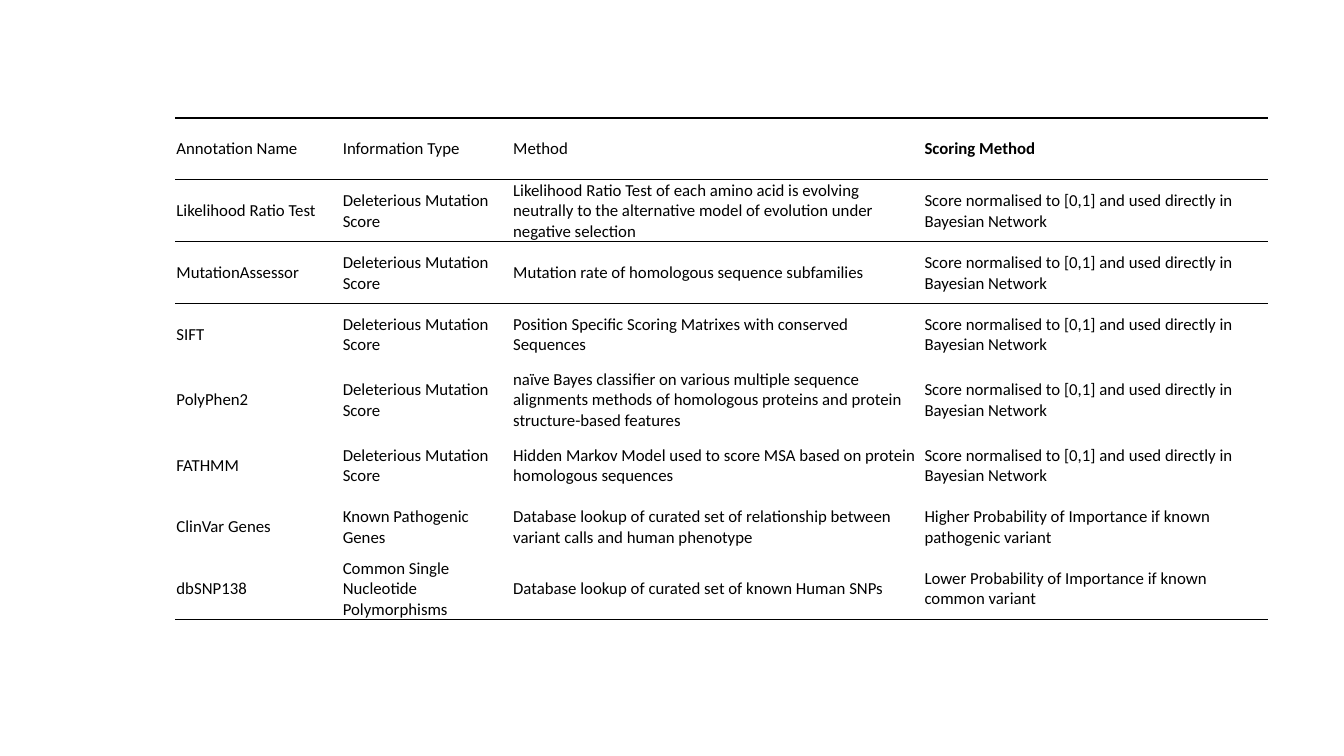
from dataclasses import astuple, dataclass

from lxml import etree
from pptx import Presentation
from pptx.dml.color import RGBColor
from pptx.enum.text import MSO_ANCHOR
from pptx.oxml.ns import qn
from pptx.slide import Slide
from pptx.table import _Cell
from pptx.util import Emu, Pt

MIDDLE = MSO_ANCHOR.MIDDLE
EMU_PER_PX = 9144
COLORS = {"ink": "000000"}
FONT_NAME = "Calibri"
FONT_SIZE = Pt(12)
RULE_WIDTH = Pt(1)
PLAIN_TABLE_STYLE = "{2D5ABB26-0587-4C30-8999-92F81FD0307C}"

TABLE_LEFT, TABLE_TOP = 174, 117
COLUMN_WIDTHS = (165, 169, 408, 342)
ROW_HEIGHT, TALL_ROW_HEIGHT = 61, 69
TALL_ROW = 4
CELL_MARGIN = 1
BOLD_CELL = (0, 3)

DELETERIOUS = "Deleterious Mutation Score"
NORMALISED = "Score normalised to [0,1] and used directly in Bayesian Network"


@dataclass(frozen=True)
class Annotation:
    name: str
    method: str
    information: str = DELETERIOUS
    scoring: str = NORMALISED


ANNOTATIONS = (
    Annotation("Annotation Name", "Method", "Information Type", "Scoring Method"),
    Annotation(
        "Likelihood Ratio Test",
        "Likelihood Ratio Test of each amino acid is evolving neutrally to the "
        "alternative model of evolution under negative selection",
    ),
    Annotation("MutationAssessor", "Mutation rate of homologous sequence subfamilies"),
    Annotation("SIFT", "Position Specific Scoring Matrixes with conserved Sequences"),
    Annotation(
        "PolyPhen2",
        "naïve Bayes classifier on various multiple sequence alignments methods of "
        "homologous proteins and protein structure-based features",
    ),
    Annotation(
        "FATHMM",
        "Hidden Markov Model used to score MSA based on protein homologous sequences",
    ),
    Annotation(
        "ClinVar Genes",
        "Database lookup of curated set of relationship between variant calls and "
        "human phenotype",
        "Known Pathogenic Genes",
        "Higher Probability of Importance if known pathogenic variant",
    ),
    Annotation(
        "dbSNP138",
        "Database lookup of curated set of known Human SNPs",
        "Common Single Nucleotide Polymorphisms",
        "Lower Probability of Importance if known common variant",
    ),
)
RULED_EDGES = (0, 1, 2, len(ANNOTATIONS))


def px(length: int) -> Emu:
    return Emu(length * EMU_PER_PX)


def add_rule(cell: _Cell, tag: str) -> None:
    properties = cell._tc.get_or_add_tcPr()
    line = etree.SubElement(properties, qn(tag), w=str(RULE_WIDTH))
    fill = etree.SubElement(line, qn("a:solidFill"))
    etree.SubElement(fill, qn("a:srgbClr"), val=COLORS["ink"])


def fill_cell(cell: _Cell, text: str, row: int, bold: bool) -> None:
    cell.text = text
    cell.vertical_anchor = MIDDLE
    cell.margin_left = cell.margin_right = cell.margin_top = px(CELL_MARGIN)
    cell.margin_bottom = 0
    font = cell.text_frame.paragraphs[0].font
    font.name = FONT_NAME
    font.size = FONT_SIZE
    font.bold = bold
    font.color.rgb = RGBColor.from_string(COLORS["ink"])
    for tag, edge in (("a:lnT", row), ("a:lnB", row + 1)):
        if edge in RULED_EDGES:
            add_rule(cell, tag)
    cell.fill.background()


def add_annotation_table(slide: Slide) -> None:
    row_heights = [
        TALL_ROW_HEIGHT if row == TALL_ROW else ROW_HEIGHT
        for row in range(len(ANNOTATIONS))
    ]
    table = slide.shapes.add_table(
        len(ANNOTATIONS), len(COLUMN_WIDTHS), px(TABLE_LEFT), px(TABLE_TOP),
        px(sum(COLUMN_WIDTHS)), px(sum(row_heights)),
    ).table
    table.horz_banding = False
    table.first_row = False
    table._tbl.tblPr.find(qn("a:tableStyleId")).text = PLAIN_TABLE_STYLE
    for table_column, width in zip(table.columns, COLUMN_WIDTHS):
        table_column.width = px(width)
    for table_row, height in zip(table.rows, row_heights):
        table_row.height = px(height)
    for row, annotation in enumerate(ANNOTATIONS):
        name, method, information, scoring = astuple(annotation)
        for column, text in enumerate((name, information, method, scoring)):
            fill_cell(table.cell(row, column), text, row, (row, column) == BOLD_CELL)


def main() -> None:
    presentation = Presentation()
    presentation.slide_width = px(1333)
    presentation.slide_height = px(750)
    slide = presentation.slides.add_slide(presentation.slide_layouts[6])
    add_annotation_table(slide)
    presentation.save("out.pptx")


if __name__ == "__main__":
    main()
